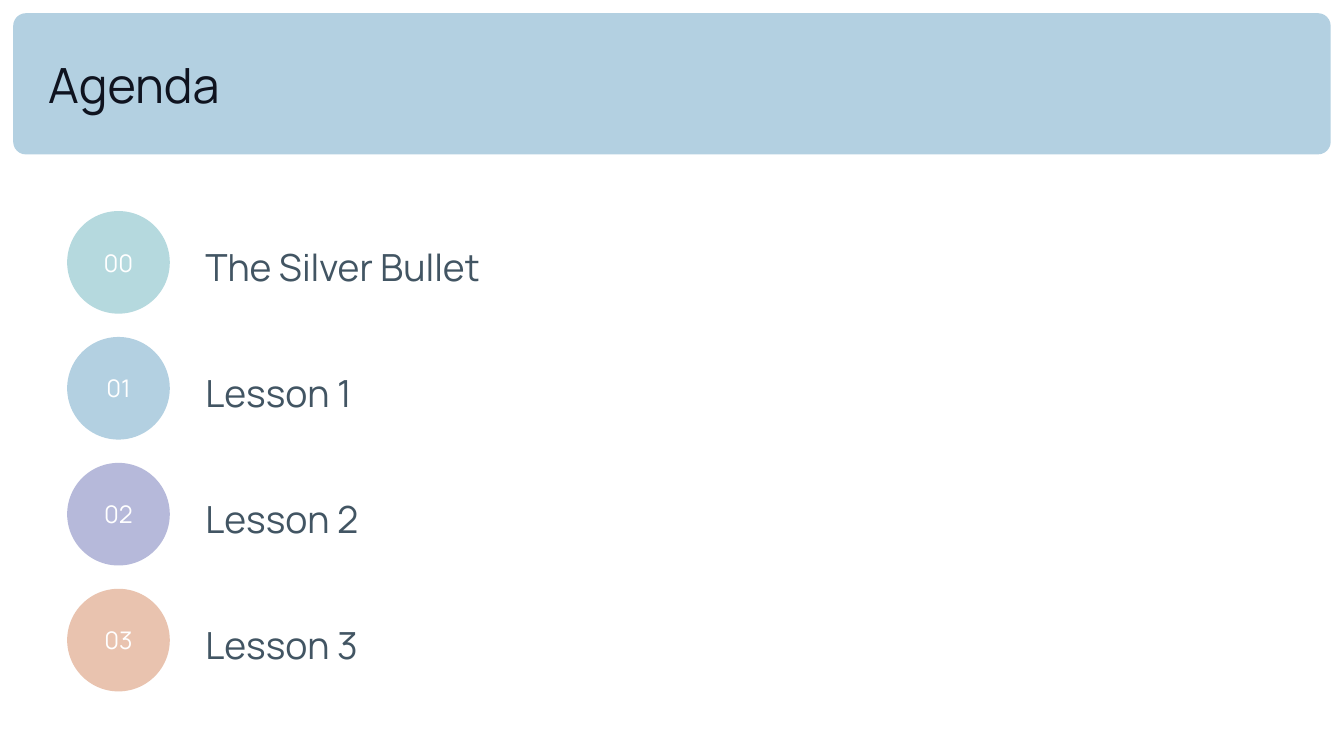
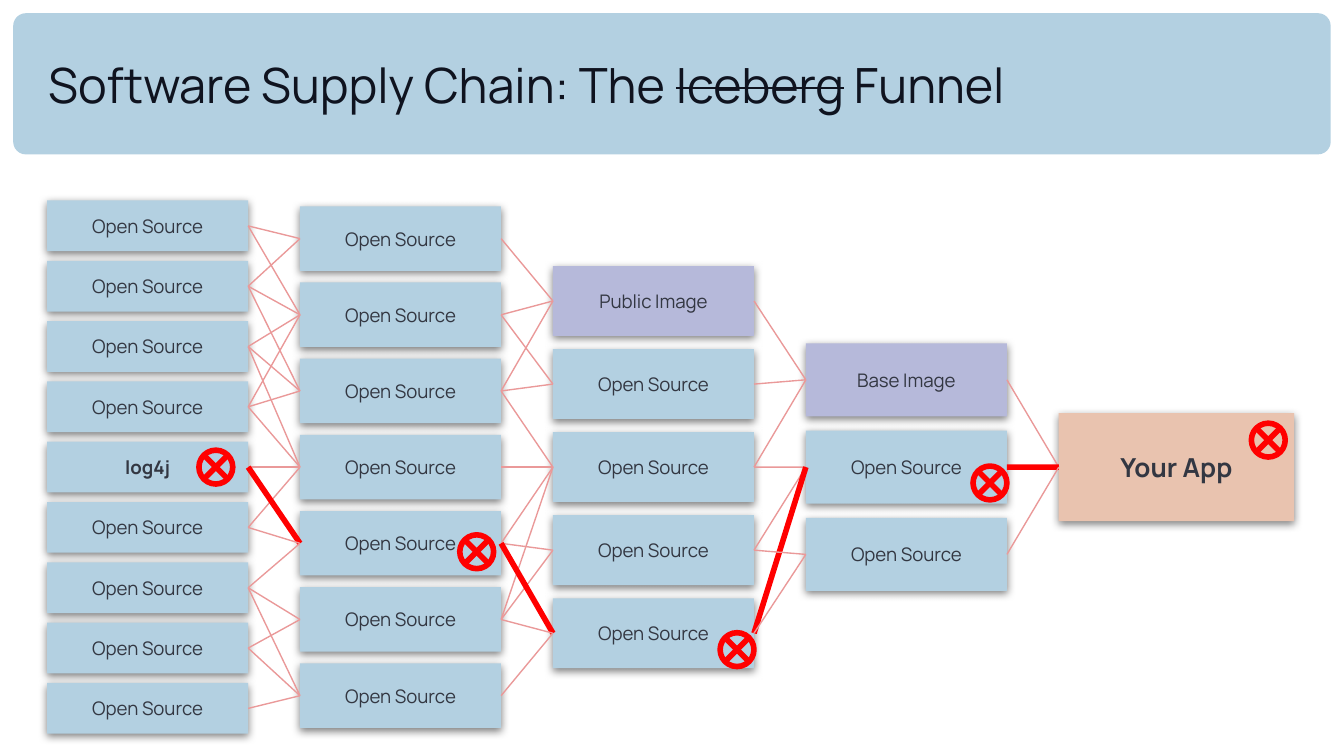
from dataclasses import dataclass

from lxml import etree
from pptx import Presentation
from pptx.dml.color import RGBColor
from pptx.enum.shapes import MSO_CONNECTOR as Connector, MSO_SHAPE as Shape
from pptx.enum.text import MSO_ANCHOR as Anchor, MSO_AUTO_SIZE as AutoSize, PP_ALIGN as Align
from pptx.oxml.ns import qn
from pptx.util import Cm, Pt


@dataclass(frozen=True)
class Theme:
    font: str = "Manrope"
    white: str = "FFFFFF"
    title: str = "0F131F"
    body: str = "425563"
    box_text: str = "333742"
    blue: str = "B3D0E1"
    teal: str = "B5D9DE"
    lilac: str = "B6B9DA"
    peach: str = "E9C3AF"
    link: str = "EA9999"
    alert: str = "FF0000"
    title_size: float = 26
    agenda_size: float = 20
    number_size: float = 13
    app_size: float = 14
    box_size: float = 10
    thin: float = 0.75
    thick: float = 3


THEME = Theme()

# Agenda content: label, circle colour, label width in cm
AGENDA_TITLE = [("Agenda", False)]
AGENDA = [
    ("The Silver Bullet", THEME.teal, 19.33),
    ("Lesson 1", THEME.blue, 17.25),
    ("Lesson 2", THEME.lilac, 16.87),
    ("Lesson 3", THEME.peach, 18.31),
]

# Funnel content: title parts (text, struck through), then columns from left to right
FUNNEL_TITLE = [("Software Supply Chain: The ", False), ("Iceberg", True), (" Funnel", False)]
OPEN = "Open Source"
COLUMNS = [
    dict(labels=[OPEN] * 4 + ["log4j"] + [OPEN] * 4, width=3.8, height=0.96, pitch=1.14),
    dict(labels=[OPEN] * 7, width=3.8, height=1.22, pitch=1.44),
    dict(labels=["Public Image"] + [OPEN] * 4, width=3.8, height=1.32, pitch=1.57),
    dict(labels=["Base Image", OPEN, OPEN], width=3.8, height=1.38, pitch=1.65),
    dict(labels=["Your App"], width=4.45, height=2.04, pitch=0),
]
# Labels that differ from the plain box: colour, size, bold
SPECIAL = {
    "log4j": (THEME.blue, THEME.box_size, True),
    "Public Image": (THEME.lilac, THEME.box_size, False),
    "Base Image": (THEME.lilac, THEME.box_size, False),
    "Your App": (THEME.peach, THEME.app_size, True),
}
# For every box of columns 1 to 4: the rows it depends on in the column to its left
SUPPLIERS = [
    [[0, 1], [0, 1, 2, 3], [1, 2, 3], [2, 3, 4, 5], [4, 5, 6], [6, 7], [6, 7, 8]],
    [[0, 1, 2], [1, 2], [2, 3, 4, 5], [4, 5], [4, 5, 6]],
    [[0, 1, 2], [2, 3, 4], [3, 4]],
    [[0, 1, 2]],
]
# The vulnerable row of each column, and where its marker sits in cm
VULNERABLE = [4, 4, 4, 1, 0]
MARKERS = [(3.76, 8.51), (8.69, 10.11), (13.61, 11.96), (18.39, 8.81), (23.65, 8.0)]


# Shared helpers
def place(left, top, width, height):
    return Cm(left), Cm(top), Cm(width), Cm(height)


def style_span(span, size, color, bold=False):
    font = span.font
    font.name, font.size, font.bold = THEME.font, Pt(size), bold
    font.color.rgb = RGBColor.from_string(color)


def set_frame(frame, side, end):
    frame.word_wrap = True
    frame.auto_size = AutoSize.NONE
    frame.vertical_anchor = Anchor.MIDDLE
    frame.margin_left = frame.margin_right = Cm(side)
    frame.margin_top = frame.margin_bottom = Cm(end)


def write(shape, text, size, color, align, side=0.25, end=0.25, bold=False):
    set_frame(shape.text_frame, side, end)
    para = shape.text_frame.paragraphs[0]
    para.text, para.alignment = text, align
    style_span(para.runs[0], size, color, bold)
    return para


def add_filled(page, kind, box, color):
    shape = page.shapes.add_shape(kind, *place(*box))
    shape.shadow.inherit = False
    shape.fill.solid()
    shape.fill.fore_color.rgb = RGBColor.from_string(color)
    shape.line.fill.background()
    return shape


def add_drop_shadow(shape):
    effects = shape.element.spPr.find(qn("a:effectLst"))
    shadow = etree.SubElement(effects, qn("a:outerShdw"), blurRad=str(Pt(4.5)),
                              dist=str(Pt(1.5)), dir="5400000", algn="bl", rotWithShape="0")
    color = etree.SubElement(shadow, qn("a:srgbClr"), val="000000")
    etree.SubElement(color, qn("a:alpha"), val="50000")


def set_line(shape, color, width):
    shape.line.color.rgb = RGBColor.from_string(color)
    shape.line.width = Pt(width)


def add_titled_page(deck, parts):
    page = deck.slides.add_slide(deck.slide_layouts[5])
    title = page.shapes.title
    title.left, title.top, title.width, title.height = place(0.91, 0.25, 23.55, 2.67)
    set_frame(title.text_frame, 0, 0.25)
    para = title.text_frame.paragraphs[0]
    para.alignment = Align.LEFT
    for text, struck in parts:
        span = para.add_run()
        span.text = text
        style_span(span, THEME.title_size, THEME.title)
        if struck:
            span.font._element.set("strike", "sngStrike")
    return page


def move_band_to_layout(page):
    band = add_filled(page, Shape.ROUNDED_RECTANGLE, (0.25, 0.25, 24.9, 2.67), THEME.blue)
    band.adjustments[0] = 0.09
    page.slide_layout.shapes.element.insert(2, band.element)


# Slide 1: numbered agenda
def build_agenda(deck):
    page = add_titled_page(deck, AGENDA_TITLE)
    move_band_to_layout(page)
    for row, (label, color, width) in enumerate(AGENDA):
        top = 3.99 + 2.38 * row
        circle = add_filled(page, Shape.OVAL, (1.27, top, 1.94, 1.94), color)
        write(circle, f"{row:02}", THEME.number_size, THEME.white, Align.CENTER, 0, 0)
        box = page.shapes.add_textbox(*place(3.63, top + 0.09, width, 1.75))
        para = write(box, label, THEME.agenda_size, THEME.body, Align.LEFT, 0.25, 0.13)
        para.line_spacing = 1.2


# Slide 2: dependency funnel
def add_column(page, index, labels, width, height, pitch):
    left, middle = 0.89 + 4.78 * index, 8.83
    first = middle - pitch * (len(labels) - 1) / 2 - height / 2
    boxes = []
    for row, label in enumerate(labels):
        color, size, bold = SPECIAL.get(label, (THEME.blue, THEME.box_size, False))
        box = add_filled(page, Shape.RECTANGLE, (left, first + pitch * row, width, height), color)
        add_drop_shadow(box)
        write(box, label, size, THEME.box_text, Align.CENTER, bold=bold)
        boxes.append(box)
    return boxes


def add_link(page, box, supplier, vulnerable):
    link = page.shapes.add_connector(Connector.STRAIGHT, 0, 0, 0, 0)
    link.begin_connect(box, 1)
    link.end_connect(supplier, 3)
    if vulnerable:
        set_line(link, THEME.alert, THEME.thick)
    else:
        set_line(link, THEME.link, THEME.thin)
    etree.SubElement(link.element.spPr, qn("a:effectLst"))


def build_funnel(deck):
    page = add_titled_page(deck, FUNNEL_TITLE)
    columns = [add_column(page, index, **column) for index, column in enumerate(COLUMNS)]
    for index, column in enumerate(SUPPLIERS):
        path_rows = (VULNERABLE[index], VULNERABLE[index + 1])
        for row, suppliers in enumerate(column):
            for supplier in suppliers:
                add_link(page, columns[index + 1][row], columns[index][supplier],
                         (supplier, row) == path_rows)
    for left, top in MARKERS:
        marker = page.shapes.add_shape(Shape.FLOWCHART_SUMMING_JUNCTION,
                                       *place(left, top, 0.64, 0.64))
        marker.shadow.inherit = False
        marker.fill.background()
        set_line(marker, THEME.alert, THEME.thick)


def main():
    deck = Presentation()
    deck.slide_width, deck.slide_height = Cm(25.4), Cm(14.29)
    build_agenda(deck)
    build_funnel(deck)
    deck.save("out.pptx")


if __name__ == "__main__":
    main()
